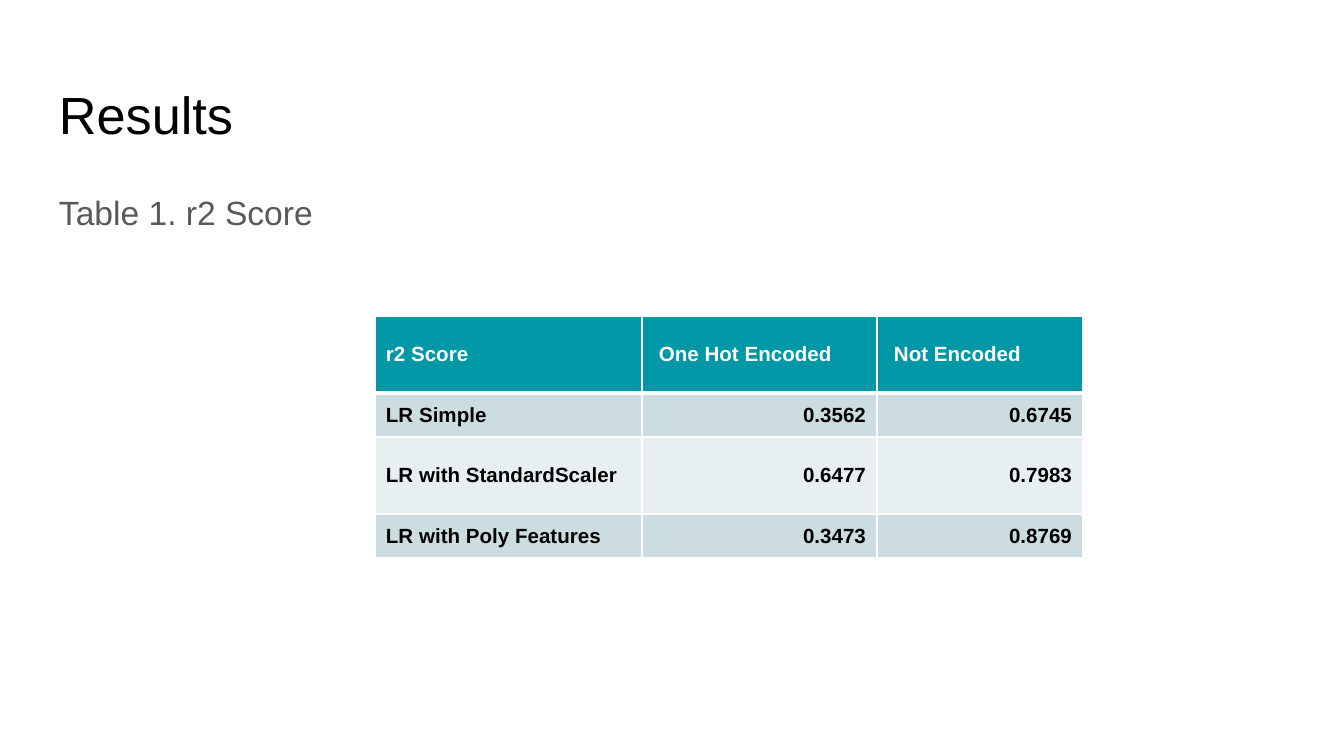
"""Build the results slide with its table of r2 scores."""
from dataclasses import dataclass

from lxml import etree
from pptx import Presentation
from pptx import util as u
from pptx.dml.color import RGBColor
from pptx.enum import text
from pptx.oxml.ns import qn


@dataclass(frozen=True)
class Theme:
    """Colours and type sizes of the slide."""
    font: str = "Arial"
    ink: str = "000000"
    muted: str = "595959"
    paper: str = "FFFFFF"
    header: str = "0097A7"
    bands: tuple = ("CCDDE1", "E7EFF1")
    title_size: int = 28
    body_size: int = 18
    table_size: int = 11


def px(length):
    """Turn picture pixels into EMU."""
    return u.Emu(round(length * 914400 / 134.4))


def apply(target, values):
    """Set every attribute in a dict of format values."""
    for name, value in values.items():
        setattr(target, name, value)


class Deck:
    """Hold the theme and the current slide."""

    def __init__(self, theme, width, height):
        """Open a presentation with one title-only slide."""
        self.theme = theme
        self.deck = Presentation()
        apply(self.deck, {"slide_width": px(width), "slide_height": px(height)})
        self.slide = self.deck.slides.add_slide(self.deck.slide_layouts[5])

    def put_text(self, frame, words, size, colour, bold=False, **paragraph_format):
        """Put one formatted paragraph in a text frame."""
        paragraph = frame.paragraphs[0]
        apply(paragraph, {"alignment": text.PP_ALIGN.LEFT, **paragraph_format})
        run = paragraph.add_run()
        run.text = words
        apply(run.font, {"name": self.theme.font, "size": u.Pt(size), "bold": bold})
        run.font.color.rgb = RGBColor.from_string(colour)

    def frame(self, shape):
        """Give a text shape its insets and wrapping."""
        apply(shape.text_frame, {
            "word_wrap": True, "auto_size": text.MSO_AUTO_SIZE.NONE,
            "vertical_anchor": text.MSO_ANCHOR.TOP,
            "margin_left": px(13), "margin_right": px(13),
            "margin_top": px(17), "margin_bottom": px(13)})
        return shape.text_frame

    def title(self, words, left, top, width, height):
        """Move and fill the title placeholder."""
        title = self.slide.shapes.title
        apply(title, {"left": px(left), "top": px(top),
                      "width": px(width), "height": px(height)})
        self.put_text(self.frame(title), words, self.theme.title_size, self.theme.ink)

    def caption(self, words, *box):
        """Add the caption text."""
        caption = self.slide.shapes.add_textbox(*map(px, box))
        self.put_text(self.frame(caption), words, self.theme.body_size,
                      self.theme.muted, line_spacing=1.15)

    def borders(self, cell, **widths):
        """Draw the cell borders, ahead of the cell fill."""
        properties = cell._tc.get_or_add_tcPr()
        for index, (side, width) in enumerate(widths.items()):
            line = etree.Element(qn(f"a:ln{side}"), w=str(u.Pt(width)))
            fill = etree.SubElement(line, qn("a:solidFill"))
            etree.SubElement(fill, qn("a:srgbClr"), val=self.theme.paper)
            properties.insert(index, line)

    def table(self, rows, left, top, widths, heights):
        """Add a table with a header row and banded body rows."""
        theme = self.theme
        table = self.slide.shapes.add_table(
            len(rows), len(widths), px(left), px(top),
            px(sum(widths)), px(sum(heights))).table
        for column, width in zip(table.columns, widths):
            column.width = px(width)
        for row, height in zip(table.rows, heights):
            row.height = px(height)
        for r, row in enumerate(rows):
            for c, words in enumerate(row):
                cell = table.cell(r, c)
                heading = r == 0
                number = c > 0 and not heading
                apply(cell, {
                    "vertical_anchor": text.MSO_ANCHOR.MIDDLE,
                    "margin_left": px(17 if heading and c else 11),
                    "margin_right": px(11 if number else 0),
                    "margin_top": 0, "margin_bottom": 0})
                cell.fill.solid()
                cell.fill.fore_color.rgb = RGBColor.from_string(
                    theme.header if heading else theme.bands[(r - 1) % 2])
                self.borders(cell, L=1, R=1, T=3 if r == 1 else 1,
                             B=3 if heading else 1)
                self.put_text(cell.text_frame, words, theme.table_size,
                              theme.paper if heading else theme.ink, bold=True,
                              alignment=text.PP_ALIGN.RIGHT if number
                              else text.PP_ALIGN.LEFT)


SCORES = [
    ("r2 Score", "One Hot Encoded", "Not Encoded"),
    ("LR Simple", "0.3562", "0.6745"),
    ("LR with StandardScaler", "0.6477", "0.7983"),
    ("LR with Poly Features", "0.3473", "0.8769"),
]

results = Deck(Theme(), 1344, 756)
results.title("Results", 46, 65, 1252, 84)
results.caption("Table 1. r2 Score", 46, 169, 1252, 502)
results.table(SCORES, 375, 316, widths=(267, 235, 206), heights=(77, 44, 77, 44))
results.deck.save("out.pptx")
